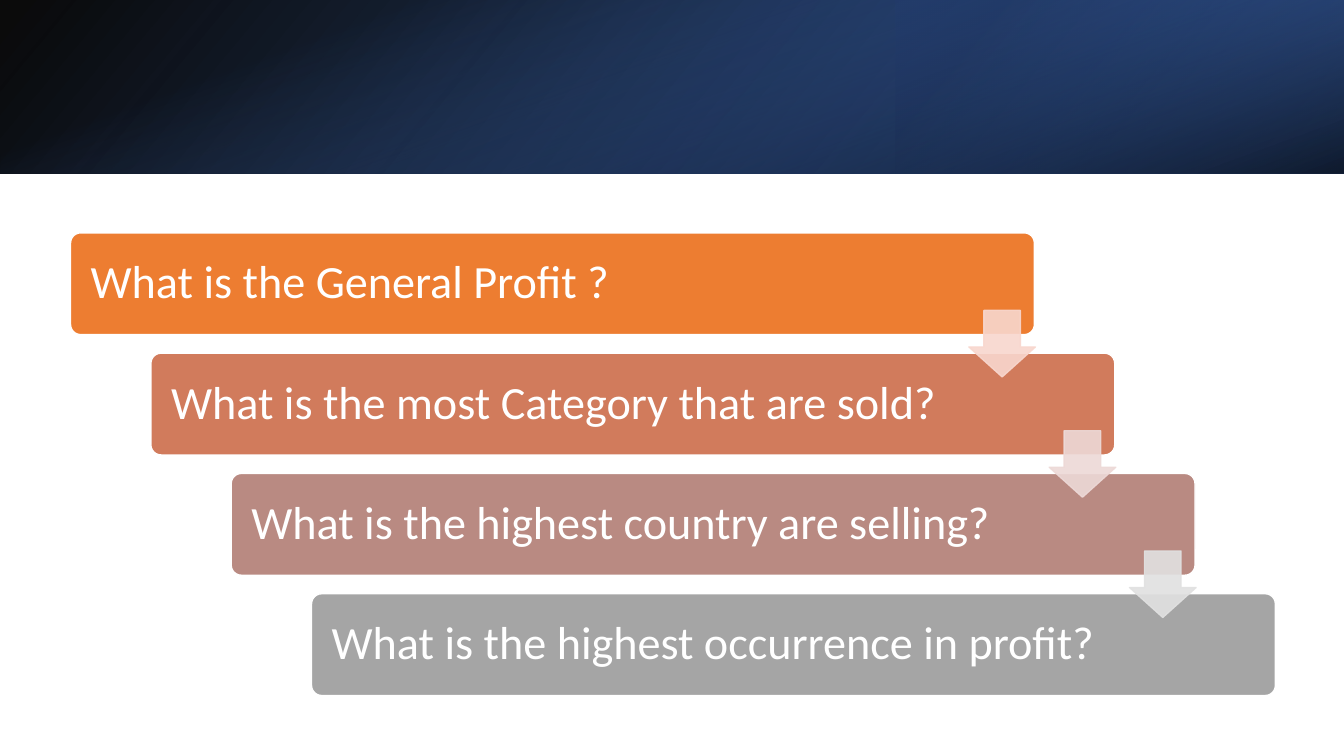
from pptx import Presentation
from pptx.dml.color import RGBColor
from pptx.enum import shapes, text
from pptx.oxml import parse_xml
from pptx.oxml import ns
from pptx.util import Inches, Pt

WHITE = RGBColor(0xFF, 0xFF, 0xFF)
BLACK = RGBColor(0x00, 0x00, 0x00)
NAVY = RGBColor(0x20, 0x38, 0x64)
DEEP_BLUE = RGBColor(0x2F, 0x55, 0x97)
BLUE = RGBColor(0x44, 0x72, 0xC4)
ORANGE = RGBColor(0xED, 0x7D, 0x31)
TERRACOTTA = RGBColor(0xD1, 0x7B, 0x5C)
ROSE = RGBColor(0xB9, 0x8A, 0x82)
GREY = RGBColor(0xA5, 0xA5, 0xA5)
PALE_ORANGE = RGBColor(0xF8, 0xD7, 0xCE)
PALE_ROSE = RGBColor(0xED, 0xD9, 0xD7)
PALE_GREY = RGBColor(0xE1, 0xE1, 0xE1)

QUESTIONS = [
    ("What is the General Profit ?", ORANGE, PALE_ORANGE),
    ("What is the most Category that are sold?", TERRACOTTA, PALE_ROSE),
    ("What is the highest country are selling?", ROSE, PALE_GREY),
    ("What is the highest occurrence in profit?", GREY, None),
]


def add_shape(page, kind, left, top, width, height):
    shape = page.shapes.add_shape(
        kind, Inches(left), Inches(top), Inches(width), Inches(height))
    shape.shadow.inherit = False
    return shape


def paint_gradient(shape, angle, stops):
    marks = "".join(
        f'<a:gs pos="{place * 1000}"><a:srgbClr val="{color}">'
        f'<a:alpha val="{alpha * 1000}"/></a:srgbClr></a:gs>'
        for place, color, alpha in stops)
    shape.fill.background()
    blank = shape._element.spPr.find(ns.qn("a:noFill"))
    gradient = parse_xml(
        f'<a:gradFill {ns.nsdecls("a")} rotWithShape="1"><a:gsLst>{marks}</a:gsLst>'
        f'<a:lin ang="{angle * 60000}" scaled="0"/></a:gradFill>')
    blank.getparent().replace(blank, gradient)
    shape.line.fill.background()


def set_opacity(shape, percent):
    for color in shape._element.spPr.iter(ns.qn("a:srgbClr")):
        color.append(parse_xml(
            f'<a:alpha {ns.nsdecls("a")} val="{percent * 1000}"/>'))


def add_banner(page, left, top, width, height):
    turned_left = left + (width - height) / 2
    turned_top = top + (height - width) / 2
    third = width / 3
    layers = [
        ((left, top, width, height), 0, True, 140,
         [(0, BLACK, 96), (100, DEEP_BLUE, 100)]),
        ((left + width - third, top, third, height), 180, True, 320,
         [(19, NAVY, 68), (100, BLUE, 79)]),
        ((turned_left, turned_top, height, width), 90, False, 340,
         [(23, BLUE, 0), (99, BLACK, 74)]),
    ]
    for box, rotation, flipped, angle, stops in layers:
        layer = add_shape(page, shapes.MSO_SHAPE.RECTANGLE, *box)
        layer.rotation = rotation
        if flipped:
            layer._element.spPr.xfrm.set("flipH", "1")
        paint_gradient(layer, angle, stops)


def add_question(page, left, top, width, height, wording, color):
    card = add_shape(page, shapes.MSO_SHAPE.ROUNDED_RECTANGLE,
                     left, top, width, height)
    card.adjustments[0] = 0.1
    card.fill.solid()
    card.fill.fore_color.rgb = color
    card.line.color.rgb = WHITE
    card.line.width = Pt(1)
    frame = card.text_frame
    frame.word_wrap = True
    frame.vertical_anchor = text.MSO_ANCHOR.MIDDLE
    frame.margin_left = frame.margin_right = Inches(0.17)
    frame.margin_top = frame.margin_bottom = Inches(0.14)
    para = frame.paragraphs[0]
    para.text = wording
    para.alignment = text.PP_ALIGN.LEFT
    para.line_spacing = 0.9
    para.font.name = "Calibri"
    para.font.size = Pt(33)
    para.font.color.rgb = WHITE


def add_arrow(page, left, top, side, color):
    arrow = add_shape(page, shapes.MSO_SHAPE.DOWN_ARROW, left, top, side, side)
    arrow.adjustments[0] = 0.55
    arrow.adjustments[1] = 0.45
    arrow.fill.solid()
    arrow.fill.fore_color.rgb = color
    arrow.line.color.rgb = color
    arrow.line.width = Pt(1)
    set_opacity(arrow, 90)


def add_staircase(page, left, top, width, height):
    card_width, card_height = 0.8 * width, 0.22 * height
    last = len(QUESTIONS) - 1
    step_x = (width - card_width) / last
    step_y = (height - card_height) / last
    corners = [(left + i * step_x, top + i * step_y) for i in range(last + 1)]
    for (x, y), (wording, color, _) in zip(corners, QUESTIONS):
        add_question(page, x, y, card_width, card_height, wording, color)
    for (x, y), (_, _, color) in zip(corners[:last], QUESTIONS):
        add_arrow(page, x + card_width - 0.65, y + card_height - 0.24, 0.66, color)


deck = Presentation()
deck.slide_width = Inches(13.33)
deck.slide_height = Inches(7.5)
page = deck.slides.add_slide(deck.slide_layouts[6])
page.background.fill.solid()
page.background.fill.fore_color.rgb = WHITE
add_banner(page, 0, 0, 13.33, 1.72)
add_staircase(page, 0.7, 2.31, 11.95, 4.59)
deck.save("out.pptx")
